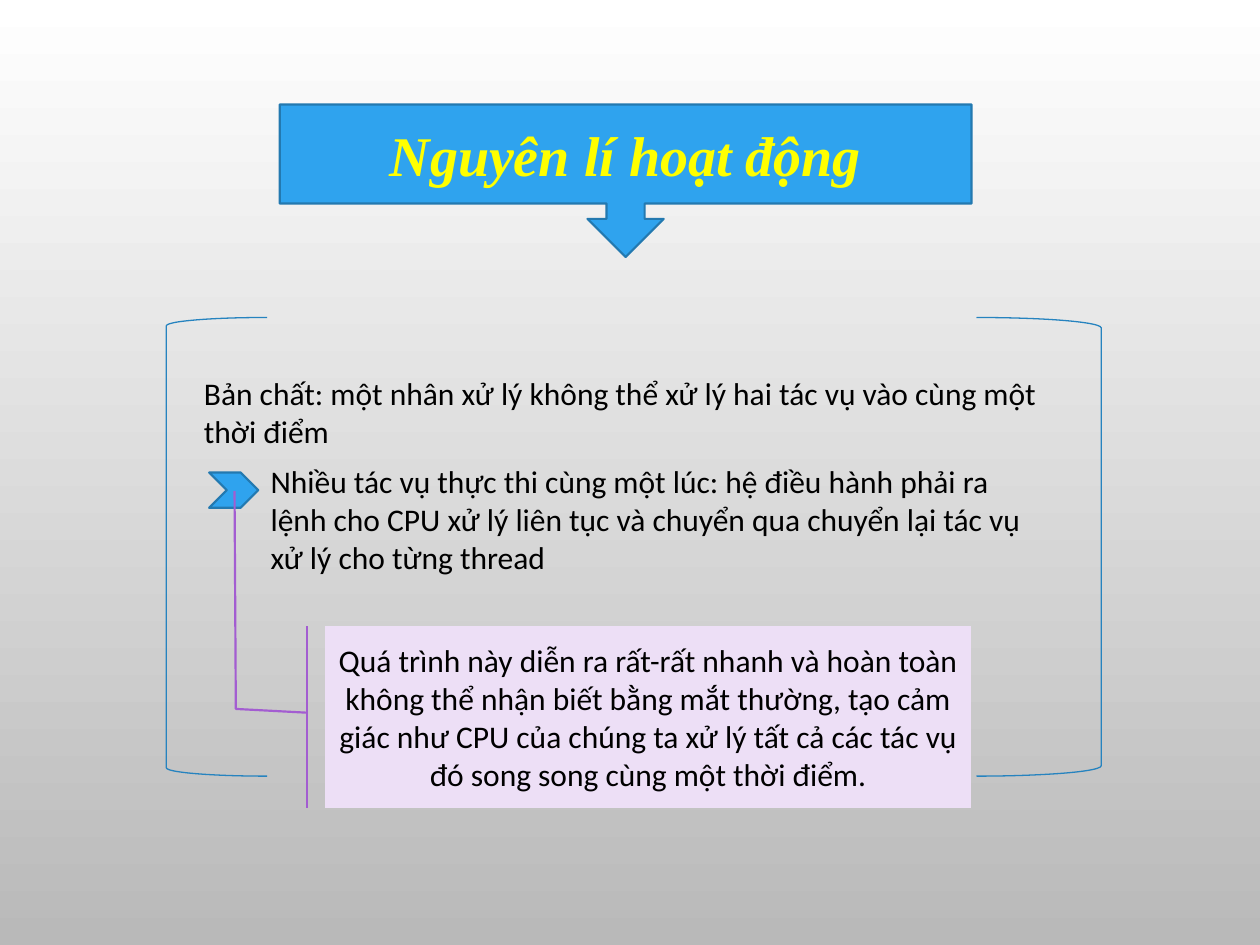
from pptx import Presentation
from pptx.dml.color import RGBColor
from pptx.enum.shapes import MSO_SHAPE as Shape
from pptx.enum.text import MSO_ANCHOR as Anchor, MSO_AUTO_SIZE as AutoSize, PP_ALIGN as Align
from pptx.util import Inches, Pt

BLUE, DARK_BLUE, BRACKET_BLUE = "2FA3EE", "2379B0", "2683BF"
LILAC, PURPLE = "EDDFF6", "A35DD1"


def color(value):
    return RGBColor.from_string(value)


def place(item, box):
    item.left, item.top, item.width, item.height = map(Inches, box)


def write(item, text, size=18, font="Calibri", ink="000000", bold=False,
          italic=False, align=Align.LEFT, anchor=Anchor.TOP):
    frame = item.text_frame
    frame.word_wrap = True
    frame.auto_size = AutoSize.NONE
    frame.vertical_anchor = anchor
    para = frame.paragraphs[0]
    para.alignment = align
    span = para.add_run()
    span.text = text
    span.font.size = Pt(size)
    span.font.name = font
    span.font.bold = bold
    span.font.italic = italic
    span.font.color.rgb = color(ink)


def add_shape(page, kind, box, line, width, fill=None):
    item = page.shapes.add_shape(kind, *map(Inches, box))
    item.shadow.inherit = False
    if fill:
        item.fill.solid()
        item.fill.fore_color.rgb = color(fill)
    else:
        item.fill.background()
    item.line.color.rgb = color(line)
    item.line.width = Pt(width)
    return item


def add_text(page, box, text):
    write(page.shapes.add_textbox(*map(Inches, box)), text)


def paint_background(page):
    fill = page.background.fill
    fill.gradient()
    fill.gradient_angle = 270
    for stop, position, shade in zip(fill.gradient_stops, (0, 1), ("FFFFFF", "B9B9B9")):
        stop.position = position
        stop.color.rgb = color(shade)


def add_heading(page, box, text):
    left, top, width, height = box
    add_shape(page, Shape.DOWN_ARROW_CALLOUT, box, DARK_BLUE, 1.25, BLUE)
    title = page.shapes.title
    place(title, (left, top, width, height * 0.65))
    write(title, text, size=32, font="Times New Roman", ink="FFFF00", bold=True,
          italic=True, align=Align.CENTER, anchor=Anchor.MIDDLE)
    page.shapes.element.append(title.element)


def add_principles(page, box, essence, detail):
    left, top, width, height = box
    right = left + width
    for kind, start, depth in ((Shape.LEFT_BRACKET, left, 0.8),
                               (Shape.RIGHT_BRACKET, right - 0.99, 0.99)):
        add_shape(page, kind, (start, top, depth, height), BRACKET_BLUE, 0.75)
    add_text(page, (left + 0.2, top + 0.4, 7.05, 0.71), essence)
    add_shape(page, Shape.CHEVRON, (left + 0.34, top + 1.23, 0.39, 0.28),
              DARK_BLUE, 1.25, BLUE)
    add_text(page, (left + 0.73, top + 1.1, 6.34, 1.01), detail)


def add_remark(page, box, text):
    callout = add_shape(page, Shape.LINE_CALLOUT_2_ACCENT_BAR, box, PURPLE, 1.25, LILAC)
    for index, value in enumerate((0.477, -0.028, 0.456, -0.138, -0.745, -0.14)):
        callout.adjustments[index] = value
    write(callout, text, align=Align.CENTER, anchor=Anchor.MIDDLE)


def main():
    deck = Presentation()
    deck.slide_width, deck.slide_height = Inches(10), Inches(7.5)
    page = deck.slides.add_slide(deck.slide_layouts[5])
    paint_background(page)
    add_heading(page, (2.22, 0.83, 5.49, 1.21), "Nguyên lí hoạt động")
    add_principles(
        page, (1.32, 2.52, 7.42, 3.64),
        "Bản chất: một nhân xử lý không thể xử lý hai tác vụ vào cùng một thời điểm",
        "Nhiều tác vụ thực thi cùng một lúc: hệ điều hành phải ra lệnh cho CPU "
        "xử lý liên tục và chuyển qua chuyển lại tác vụ xử lý cho từng thread")
    add_remark(
        page, (2.58, 4.97, 5.13, 1.44),
        "Quá trình này diễn ra rất-rất nhanh và hoàn toàn không thể nhận biết bằng "
        "mắt thường, tạo cảm giác như CPU của chúng ta xử lý tất cả các tác "
        "vụ đó song song cùng một thời điểm.")
    deck.save("out.pptx")


if __name__ == "__main__":
    main()
